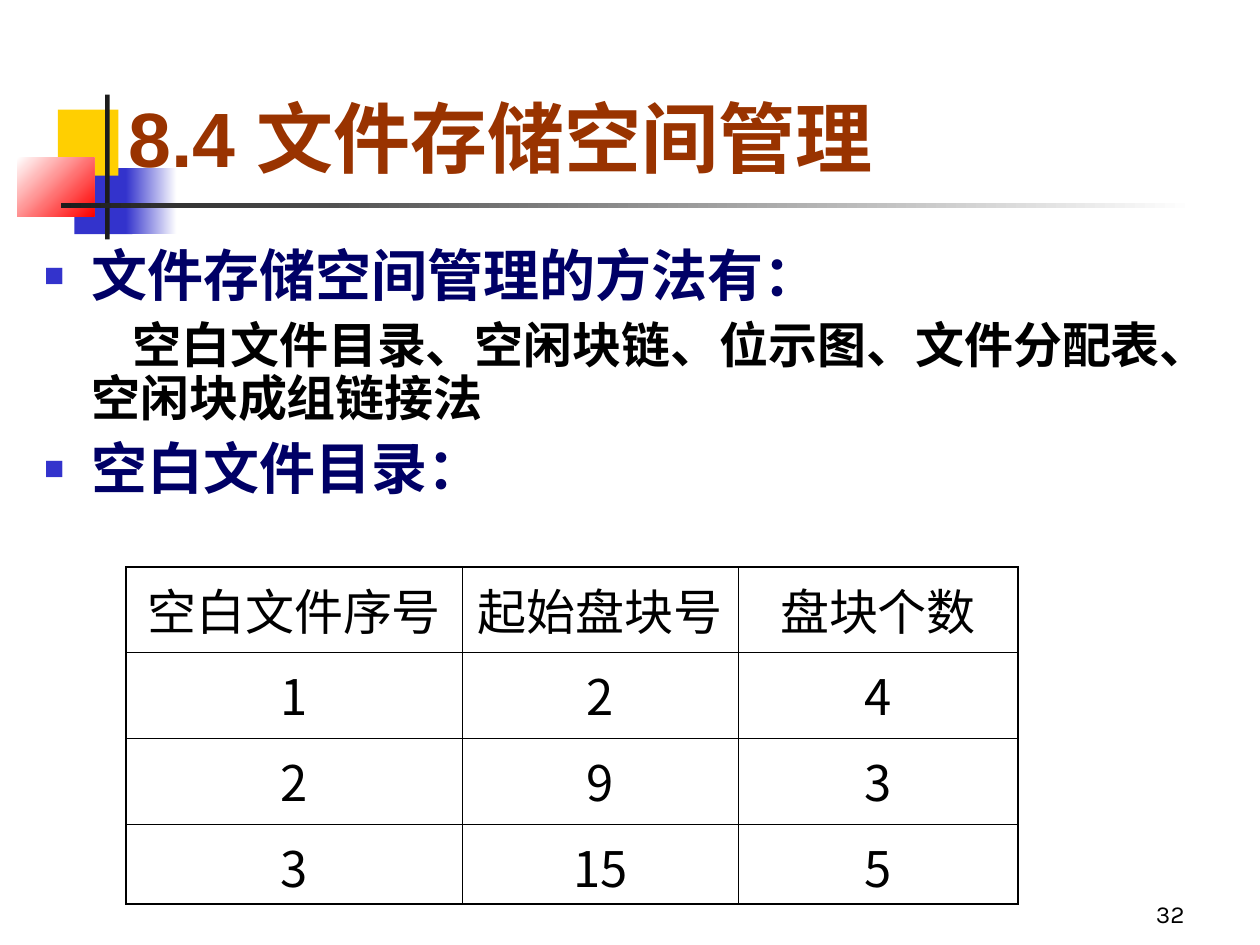
from lxml import etree
from pptx import Presentation
from pptx import util as u
from pptx.dml.color import RGBColor
from pptx.enum import shapes, text
from pptx.oxml import ns

COLORS = {
    "blue": "3333CC", "yellow": "FFCF01", "red": "FF0000", "white": "FFFFFF",
    "dark": "1C1C1C", "black": "000000", "navy": "000066", "brown": "993300",
}
CJK_FONT = "Noto Sans CJK SC"


def rgb(name):
    return RGBColor.from_string(COLORS[name])


def add_xml(parent, tag, **attributes):
    return etree.SubElement(parent, ns.qn(tag), attributes)


class SlideBuilder:
    def __init__(self, slide, font="Arial"):
        self.slide = slide
        self.font = font

    def block(self, left, top, width, height, *colors, angle=0):
        """Rectangle with one colour, or a gradient between two."""
        shape = self.slide.shapes.add_shape(
            shapes.MSO_SHAPE.RECTANGLE, *map(u.Cm, (left, top, width, height)))
        shape.shadow.inherit = False
        shape.line.fill.background()
        if len(colors) == 1:
            shape.fill.solid()
            shape.fill.fore_color.rgb = rgb(colors[0])
        else:
            shape.fill.gradient()
            shape.fill.gradient_angle = angle
            for stop, color in zip(shape.fill.gradient_stops, colors):
                stop.color.rgb = rgb(color)

    def text_box(self, left, top, width, height, anchor):
        box = self.slide.shapes.add_textbox(
            *map(u.Cm, (left, top, width, height)))
        frame = box.text_frame
        frame.word_wrap = True
        frame.vertical_anchor = anchor
        return frame

    def format(self, paragraph, size, color, bold=False, font=None):
        for run in paragraph.runs:
            run.font.size = u.Pt(size)
            run.font.bold = bold
            run.font.name = font or self.font
            run.font.color.rgb = rgb(color)
            add_xml(run.font._element, "a:ea", typeface=CJK_FONT)

    def line_of_text(self, area, content, anchor, align, **style):
        frame = self.text_box(*area, anchor)
        frame.text = content
        frame.paragraphs[0].alignment = align
        self.format(frame.paragraphs[0], **style)

    def body(self, area, items):
        """Each item is (text, is_heading); headings carry a square bullet."""
        frame = self.text_box(*area, text.MSO_ANCHOR.TOP)
        frame.text = "\n".join(content for content, _ in items)
        for paragraph, (_, heading) in zip(frame.paragraphs, items):
            paragraph.line_spacing = 0.9
            paragraph.space_before = u.Pt(8 if heading else 7)
            self.format(paragraph, 32 if heading else 28,
                        "navy" if heading else "black", bold=True)
            properties = paragraph._p.get_or_add_pPr()
            properties.set("marL", str(u.Cm(0.95)))
            properties.set("indent", str(u.Cm(-0.95 if heading else 0.83)))
            if heading:
                bullet_color = add_xml(properties, "a:buClr")
                add_xml(bullet_color, "a:srgbClr", val=COLORS["blue"])
                add_xml(properties, "a:buSzPct", val="60000")
                add_xml(properties, "a:buFont", typeface=self.font)
                add_xml(properties, "a:buChar", char="■")
            else:
                add_xml(properties, "a:buNone")

    def borders(self, cell, **widths):
        properties = cell._tc.get_or_add_tcPr()
        for index, (side, width) in enumerate(widths.items()):
            line = etree.Element(ns.qn(f"a:ln{side}"), w=str(u.Pt(width)))
            fill = add_xml(line, "a:solidFill")
            add_xml(fill, "a:srgbClr", val=COLORS["black"])
            properties.insert(index, line)

    def table(self, left, top, widths, heights, rows, thin=0.45, thick=1.08):
        table = self.slide.shapes.add_table(
            len(rows), len(widths), u.Cm(left), u.Cm(top),
            u.Cm(sum(widths)), u.Cm(sum(heights))).table
        table.first_row = table.horz_banding = False
        for column, width in zip(table.columns, widths):
            column.width = u.Cm(width)
        for r, values in enumerate(rows):
            table.rows[r].height = u.Cm(heights[r])
            for c, value in enumerate(values):
                cell = table.cell(r, c)
                cell.fill.background()
                cell.text_frame.text = value
                paragraph = cell.text_frame.paragraphs[0]
                paragraph.alignment = text.PP_ALIGN.CENTER
                paragraph.space_before = u.Pt(7)
                self.format(paragraph, 28, "black", font=CJK_FONT)
                self.borders(
                    cell,
                    L=thick if c == 0 else thin,
                    R=thick if c == len(widths) - 1 else thin,
                    T=thick if r == 0 else thin,
                    B=thick if r == len(rows) - 1 else thin)


def main():
    presentation = Presentation()
    presentation.slide_width, presentation.slide_height = u.Cm(25.4), u.Cm(19.05)
    slide = presentation.slides.add_slide(presentation.slide_layouts[6])
    builder = SlideBuilder(slide)

    # Corner decoration and rule
    builder.block(1.5, 3.39, 1.17, 1.33, "blue")
    builder.block(1.17, 2.21, 1.22, 1.33, "yellow")
    builder.block(2.54, 3.39, 1.02, 1.33, "blue", "white")
    builder.block(0.35, 3.18, 1.55, 1.18, "white", "red", angle=315)
    builder.block(2.12, 1.91, 0.09, 2.92, "dark")
    builder.block(1.23, 4.1, 22.86, 0.09, "dark", "white")

    # Page number
    builder.line_of_text((18.85, 17.58, 5.28, 1.27), "32",
                         text.MSO_ANCHOR.BOTTOM, text.PP_ALIGN.RIGHT,
                         size=14, color="black", font="Karla")

    # Body text
    builder.body((0.64, 4.88, 24.23, 5.72), [
        ("文件存储空间管理的方法有：", True),
        ("空白文件目录、空闲块链、位示图、文件分配表、空闲块成组链接法", False),
        ("空白文件目录：", True),
    ])

    # Title
    builder.line_of_text((2.34, 0.64, 22.23, 3.18), "8.4 文件存储空间管理",
                         text.MSO_ANCHOR.BOTTOM, text.PP_ALIGN.LEFT,
                         size=44, color="brown", bold=True)

    # Free-file directory table
    builder.table(2.54, 11.43, (6.78, 5.56, 5.64), (1.73, 1.73, 1.73, 1.6), [
        ("空白文件序号", "起始盘块号", "盘块个数"),
        ("1", "2", "4"),
        ("2", "9", "3"),
        ("3", "15", "5"),
    ])

    presentation.save("out.pptx")


if __name__ == "__main__":
    main()
